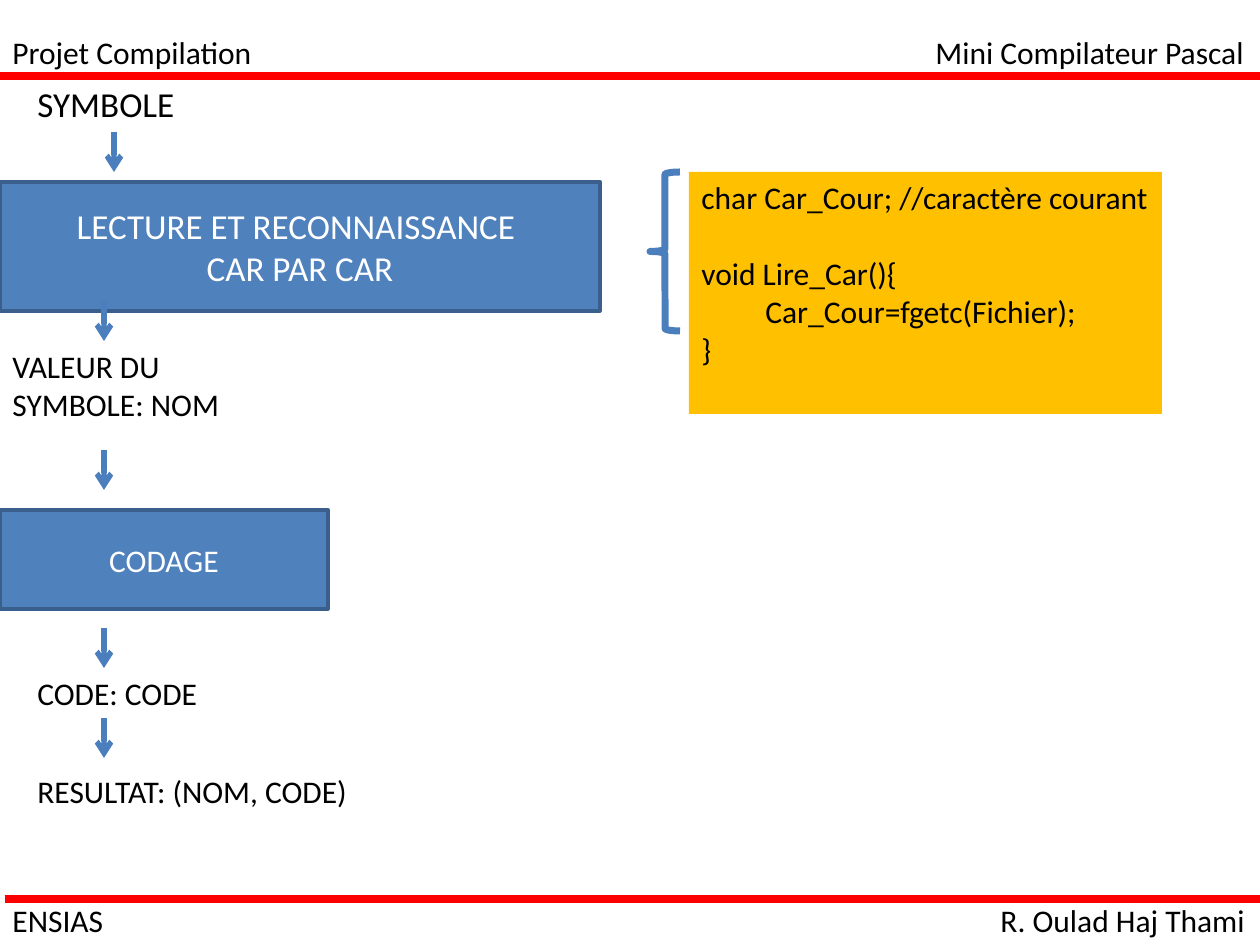
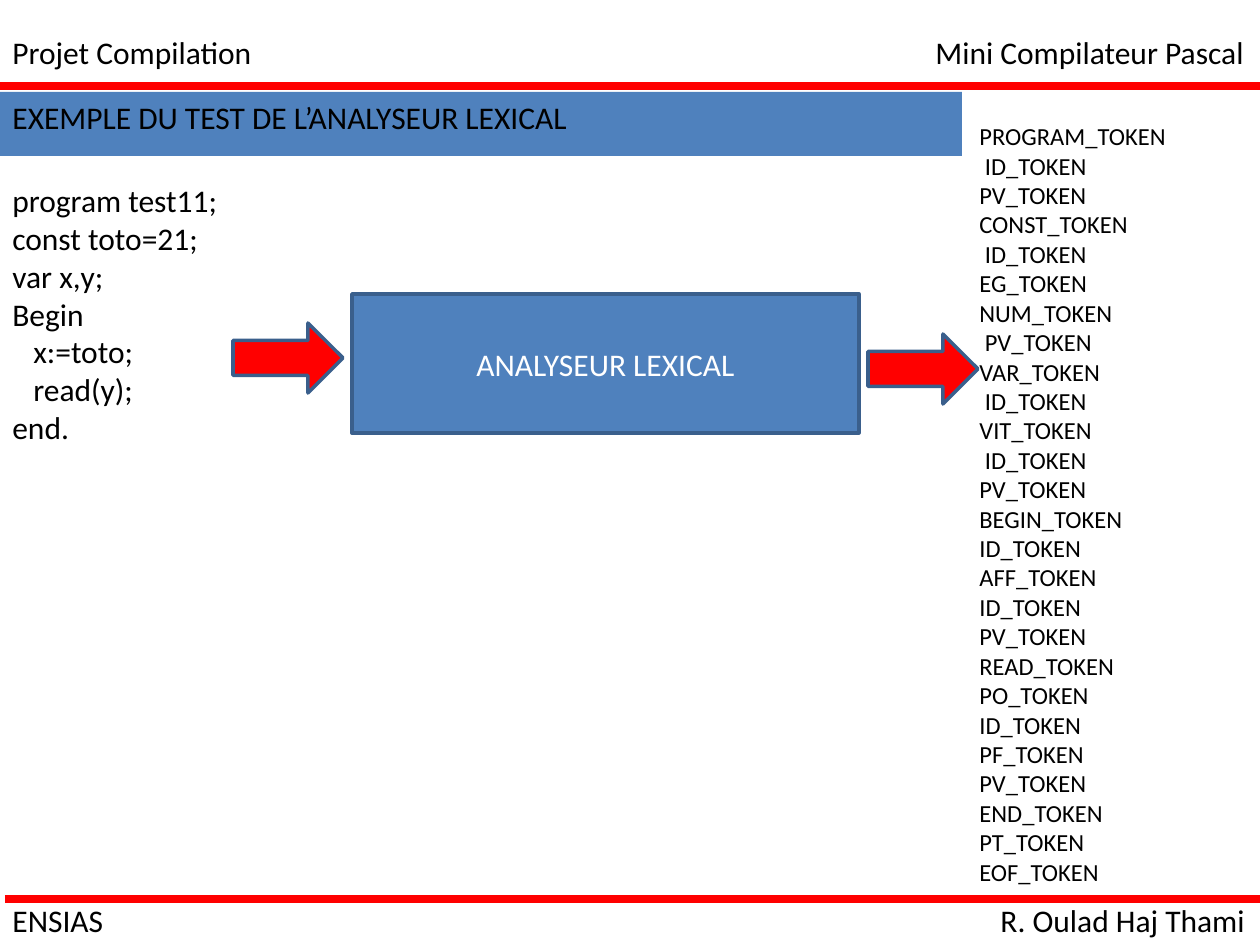
import pptx
import pptx.util
import pptx.dml.color
import pptx.enum.shapes
import pptx.enum.text
import pptx.oxml.ns
import lxml.etree

RGBColor = pptx.dml.color.RGBColor
BLUE = RGBColor(0x4F, 0x81, 0xBD)
BLUE_LINE = RGBColor(0x4B, 0x7E, 0xBC)
BLUE_EDGE = RGBColor(0x3A, 0x5F, 0x8C)
RED = RGBColor(0xFF, 0x00, 0x00)
ORANGE = RGBColor(0xFF, 0xC0, 0x00)
BLACK = RGBColor(0x00, 0x00, 0x00)
WHITE = RGBColor(0xFF, 0xFF, 0xFF)

SHAPES = pptx.enum.shapes.MSO_SHAPE
ANCHOR = pptx.enum.text.MSO_ANCHOR
ALIGN = pptx.enum.text.PP_ALIGN
qn = pptx.oxml.ns.qn
PIXEL = 914400 / 126
WIDTH, HEIGHT = 1260, 945


def add_box(slide, box, lines=(), size=18, fill=None, edge=None,
            kind=SHAPES.RECTANGLE, edge_width=2):
    """Add a shape or, without fill and edge, a text box; edged boxes centre white text."""
    place = [round(value * PIXEL) for value in box]
    if fill is None and edge is None:
        shape = slide.shapes.add_textbox(*place)
    else:
        shape = slide.shapes.add_shape(kind, *place)
        shape.shadow.inherit = False
        if fill is None:
            shape.fill.background()
        else:
            shape.fill.solid()
            shape.fill.fore_color.rgb = fill
        if edge is None:
            shape.line.fill.background()
        else:
            shape.line.color.rgb = edge
            shape.line.width = pptx.util.Pt(edge_width)
    frame = shape.text_frame
    frame.word_wrap = True
    frame.vertical_anchor = ANCHOR.MIDDLE if edge else ANCHOR.TOP
    for index, line in enumerate(lines):
        paragraph = frame.paragraphs[0] if index == 0 else frame.add_paragraph()
        paragraph.text = line
        paragraph.alignment = ALIGN.CENTER if edge else ALIGN.LEFT
        paragraph.font.name = "Calibri"
        paragraph.font.size = pptx.util.Pt(size)
        paragraph.font.color.rgb = WHITE if edge else BLACK
    return shape


def add_line(slide, ends, color, width, arrow=False):
    line = slide.shapes.add_connector(
        pptx.enum.shapes.MSO_CONNECTOR.STRAIGHT,
        *[round(value * PIXEL) for value in ends])
    line.line.color.rgb = color
    line.line.width = pptx.util.Pt(width)
    if arrow:
        outline = line.line._get_or_add_ln()
        lxml.etree.SubElement(outline, qn("a:tailEnd")).set("type", "arrow")
    lxml.etree.SubElement(line._element.spPr, qn("a:effectLst"))


presentation = pptx.Presentation()
presentation.slide_width = round(WIDTH * PIXEL)
presentation.slide_height = round(HEIGHT * PIXEL)
slides = [presentation.slides.add_slide(presentation.slide_layouts[6])
          for _ in range(2)]
flow_slide, example_slide = slides

# Slide 1: steps from symbol to code
add_box(flow_slide, (0, 182, 600, 129),
        ["LECTURE ET RECONNAISSANCE ", "CAR PAR CAR"], 20, BLUE, BLUE_EDGE)
add_box(flow_slide, (0, 510, 328, 99), ["CODAGE"], 18, BLUE, BLUE_EDGE)
add_box(flow_slide, (25, 76, 195, 55), ["SYMBOLE"], 20)
add_box(flow_slide, (0, 341, 268, 89), ["VALEUR DU ", "SYMBOLE: NOM"])
add_box(flow_slide, (25, 668, 186, 50), ["CODE: CODE"])
add_box(flow_slide, (25, 766, 338, 50), ["RESULTAT: (NOM, CODE)"])
for x, y in ((114, 132), (104, 301), (104, 450), (104, 628), (104, 718)):
    add_line(flow_slide, (x, y, x, y + 40), BLUE_LINE, 3, arrow=True)

# Slide 1: reading function
add_box(flow_slide, (650, 172, 30, 159), edge=BLUE_LINE,
        kind=SHAPES.LEFT_BRACE, edge_width=4)
reader = add_box(flow_slide, (689, 172, 473, 242),
                 ["char Car_Cour; //caractère courant", "void Lire_Car(){",
                  "Car_Cour=fgetc(Fichier);", "}"], fill=ORANGE)
reader.text_frame.paragraphs[1].space_before = pptx.util.Pt(22)

# Slide 2: title band, program, analyser and its tokens
add_box(example_slide, (0, 92, 962, 64),
        ["EXEMPLE DU TEST DE L’ANALYSEUR LEXICAL"], fill=BLUE)
program = add_box(example_slide, (0, 175, 291, 369),
                  ["program test11;", "const toto=21; ", "var x,y;", "Begin",
                   "x:=toto;", "read(y);", "end."])
add_box(example_slide, (352, 294, 507, 139), ["ANALYSEUR LEXICAL"],
        18, BLUE, BLUE_EDGE)
tokens = ["PROGRAM", " ID", "PV", "CONST", " ID", "EG", "NUM", " PV", "VAR",
          " ID", "VIT", " ID", "PV", "BEGIN", "ID", "AFF", "ID", "PV", "READ",
          "PO", "ID", "PF", "PV", "END", "PT", "EOF"]
add_box(example_slide, (967, 115, 243, 785),
        [f"{token}_TOKEN" for token in tokens], 14)
for x, y in ((233, 323), (868, 334)):
    add_box(example_slide, (x, y, 110, 70), fill=RED, edge=BLUE_EDGE,
            kind=SHAPES.RIGHT_ARROW)

# Indented code lines
for shape, index, indent in ((reader, 2, 64), (program, 4, 21), (program, 5, 21)):
    properties = shape.text_frame.paragraphs[index]._p.get_or_add_pPr()
    properties.set("marL", str(round(indent * PIXEL)))

# Shared header and footer
for slide, rule_y in ((flow_slide, 76), (example_slide, 86)):
    add_line(slide, (0, rule_y, WIDTH, rule_y), RED, 4.5)
    add_line(slide, (5, 899, WIDTH, 899), RED, 4.5)
    add_box(slide, (988, 895, 272, 50), ["R. Oulad Haj Thami"])
    add_box(slide, (0, 27, 267, 50), ["Projet Compilation"])
    add_box(slide, (923, 27, 337, 50), ["Mini Compilateur Pascal"])
    add_box(slide, (0, 895, 118, 50), ["ENSIAS"])

presentation.save("out.pptx")
